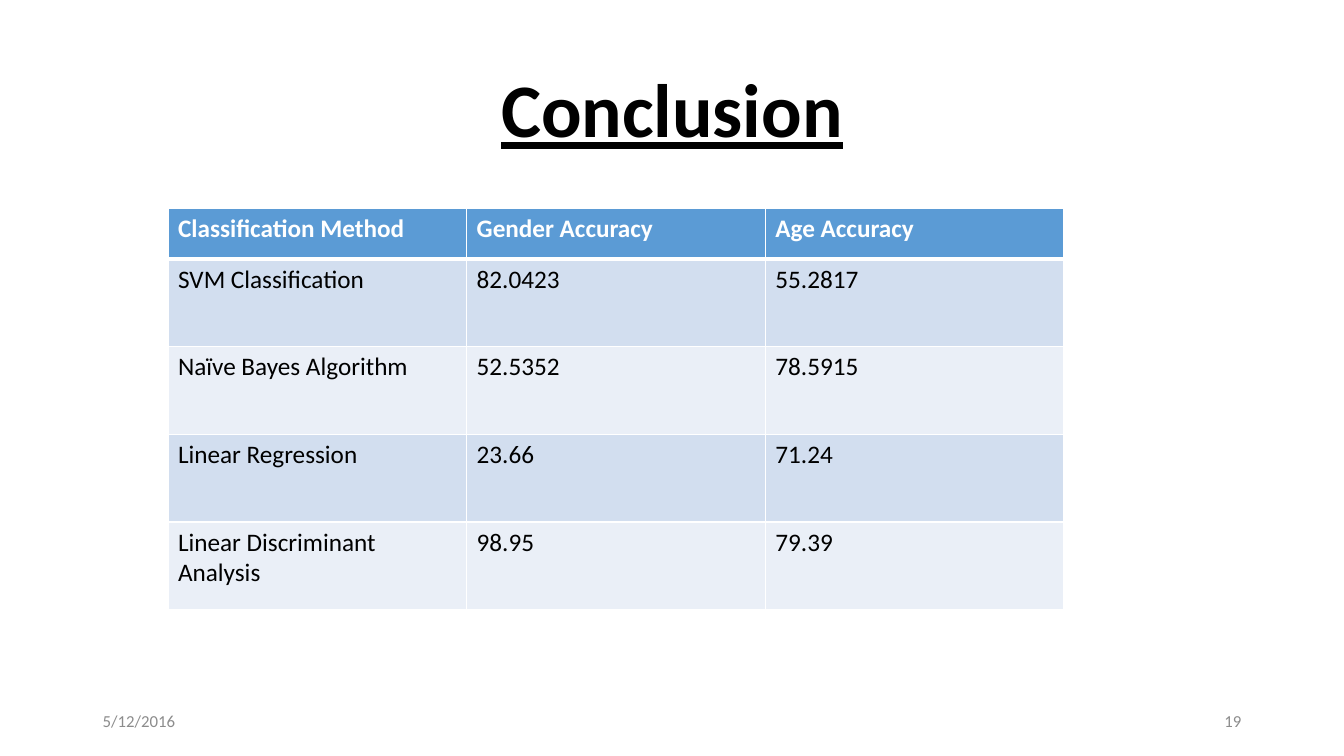
import pptx
import pptx.dml.color
import pptx.enum.text
import pptx.oxml
import pptx.oxml.ns
import pptx.util
import lxml.etree

RGBColor = pptx.dml.color.RGBColor
ALIGN = pptx.enum.text.PP_ALIGN
ANCHOR = pptx.enum.text.MSO_ANCHOR
Inches = pptx.util.Inches

BLACK = RGBColor(0x00, 0x00, 0x00)
WHITE = RGBColor(0xFF, 0xFF, 0xFF)
GREY = RGBColor(0x8C, 0x8C, 0x8C)
HEADER_BLUE = RGBColor(0x5B, 0x9B, 0xD5)
BANDS = (RGBColor(0xD2, 0xDE, 0xEF), RGBColor(0xEA, 0xEF, 0xF7))

FONT = "Calibri"
PAGE_WIDTH, PAGE_HEIGHT = 13.33, 7.5
MARGIN = 0.92
CONTENT_WIDTH = PAGE_WIDTH - 2 * MARGIN
HEADER_HEIGHT = 0.5

RESULTS = (
    ("Classification Method", "Gender Accuracy", "Age Accuracy"),
    ("SVM Classification", "82.0423", "55.2817"),
    ("Naïve Bayes Algorithm", "52.5352", "78.5915"),
    ("Linear Regression", "23.66", "71.24"),
    ("Linear Discriminant Analysis", "98.95", "79.39"),
)


def write_text(frame, text, size=18, color=BLACK, bold=False, underline=False,
               align=ALIGN.LEFT, spacing=1.0):
    """Write one formatted paragraph into a text frame."""
    frame.word_wrap = True
    para = frame.paragraphs[0]
    para.alignment = align
    para.line_spacing = spacing
    span = para.add_run()
    span.text = text
    span.font.name = FONT
    span.font.size = pptx.util.Pt(size)
    span.font.color.rgb = color
    span.font.bold = bold
    span.font.underline = underline


def add_label(page, box, text, **style):
    """Place vertically centred text in a box of left, top, width, height."""
    label = page.shapes.add_textbox(*map(Inches, box))
    label.text_frame.vertical_anchor = ANCHOR.MIDDLE
    write_text(label.text_frame, text, **style)


def set_borders(cell, bottom):
    """Draw white cell borders, with the bottom width given in points."""
    properties = cell._tc.get_or_add_tcPr()
    widths = {"lnL": 1, "lnR": 1, "lnT": 1, "lnB": bottom}
    for index, (side, width) in enumerate(widths.items()):
        line = lxml.etree.Element(pptx.oxml.ns.qn("a:" + side),
                                  w=str(pptx.util.Pt(width)))
        fill = lxml.etree.SubElement(line, pptx.oxml.ns.qn("a:solidFill"))
        lxml.etree.SubElement(fill, pptx.oxml.ns.qn("a:srgbClr"), val=str(WHITE))
        properties.insert(index, line)


def add_results(page, box, rows):
    """Fill a box with a table: a header row above equal banded rows."""
    left, top, width, height = box
    columns = len(rows[0])
    table = page.shapes.add_table(len(rows), columns, *map(Inches, box)).table
    for column in table.columns:
        column.width = Inches(width / columns)
    body_height = (height - HEADER_HEIGHT) / (len(rows) - 1)
    for row_index, values in enumerate(rows):
        header = row_index == 0
        table.rows[row_index].height = Inches(HEADER_HEIGHT if header else body_height)
        for column_index, value in enumerate(values):
            cell = table.cell(row_index, column_index)
            cell.fill.solid()
            cell.fill.fore_color.rgb = HEADER_BLUE if header else BANDS[(row_index - 1) % 2]
            write_text(cell.text_frame, value, bold=header,
                       color=WHITE if header else BLACK)
            set_borders(cell, bottom=3 if header else 1)


def add_footer(page, box, date, number):
    """Put the date at the left and the page number at the right of a box."""
    left, top, width, height = box
    label_width = 3
    add_label(page, (left, top, label_width, height), date, size=12, color=GREY)
    add_label(page, (left + width - label_width, top, label_width, height), number,
              size=12, color=GREY, align=ALIGN.RIGHT)


def build_conclusion(deck):
    """Add the conclusion slide."""
    page = deck.slides.add_slide(deck.slide_layouts[6])
    add_label(page, (MARGIN, 0.4, CONTENT_WIDTH, 1.45), "Conclusion", size=54,
              bold=True, underline=True, align=ALIGN.CENTER, spacing=0.9)
    add_results(page, (PAGE_WIDTH / 8, 2.07, PAGE_WIDTH * 2 / 3, 3.98), RESULTS)
    add_footer(page, (MARGIN, 6.95, CONTENT_WIDTH, 0.4), "5/12/2016", "19")


deck = pptx.Presentation()
deck.slide_width = Inches(PAGE_WIDTH)
deck.slide_height = Inches(PAGE_HEIGHT)
build_conclusion(deck)
deck.save("out.pptx")
